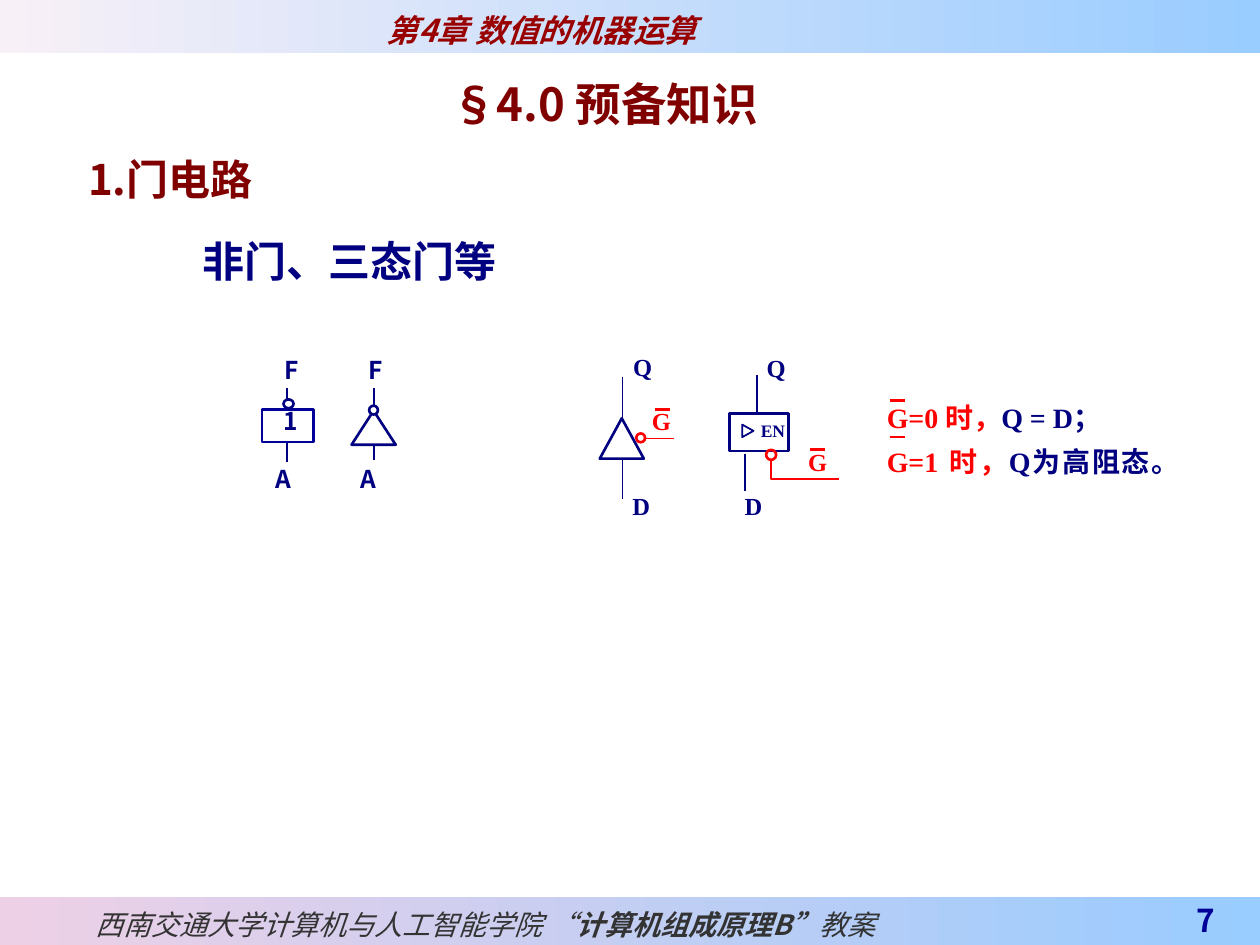
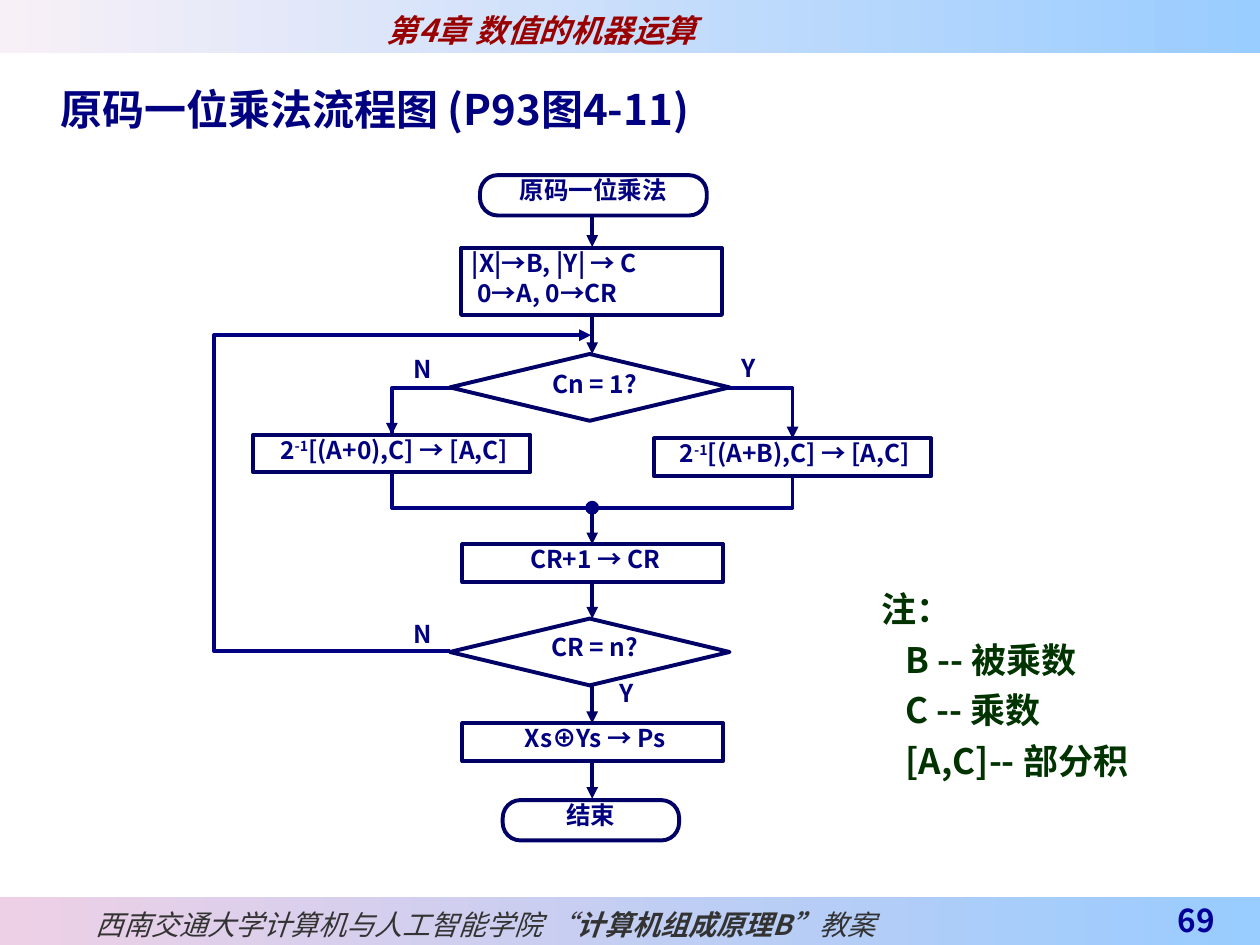
from lxml import etree
from pptx import Presentation
from pptx.dml.color import RGBColor
from pptx.enum.shapes import MSO_CONNECTOR, MSO_SHAPE
from pptx.enum.text import MSO_ANCHOR, PP_ALIGN
from pptx.oxml.ns import qn
from pptx.util import Inches, Pt

NAVY = RGBColor(0x00, 0x00, 0x80)
DARK = RGBColor(0x00, 0x00, 0x66)
BLUE = RGBColor(0x00, 0x00, 0x99)
RED = RGBColor(0xFF, 0x00, 0x00)
WINE = RGBColor(0x80, 0x00, 0x00)
BRICK = RGBColor(0x99, 0x00, 0x00)
GREEN = RGBColor(0x00, 0x33, 0x00)
GRAY = RGBColor(0x33, 0x33, 0x33)
WHITE = RGBColor(0xFF, 0xFF, 0xFF)
SKY = RGBColor(0x99, 0xCC, 0xFF)
PALE = RGBColor(0xF8, 0xF0, 0xF7)
PINK = RGBColor(0xEE, 0xD0, 0xE6)

RECT, ROUND = MSO_SHAPE.RECTANGLE, MSO_SHAPE.ROUNDED_RECTANGLE
OVAL, DELTA = MSO_SHAPE.OVAL, MSO_SHAPE.ISOSCELES_TRIANGLE
TEST = MSO_SHAPE.FLOWCHART_DECISION
LEFT, RIGHT, MID, JUST = (PP_ALIGN.LEFT, PP_ALIGN.RIGHT,
                          PP_ALIGN.CENTER, PP_ALIGN.JUSTIFY)
TOP, CENTER, BOTTOM = MSO_ANCHOR.TOP, MSO_ANCHOR.MIDDLE, MSO_ANCHOR.BOTTOM
STRAIGHT = MSO_CONNECTOR.STRAIGHT

SANS, SERIF, ARIAL = "Noto Sans CJK SC", "Times New Roman", "Arial"
PAD = (1, 0.5, 1, 0.5)
HEAD = (1, 0.5, 1, 0)
NONE = (0, 0, 0, 0)
SLIM = (0.4, 0, 0, 0)

prs = Presentation()
prs.slide_width, prs.slide_height = Inches(10), Inches(7.5)
CELL = prs.slide_width // 100  # the grid has 100 columns and 75 rows


def write(frame, paras, color=NAVY, align=LEFT, pad=PAD, anchor=TOP,
          space=1.0, dents=(), **font):
    """Fill a text frame; a paragraph is a string or a list of (text, format)."""
    frame.word_wrap, frame.vertical_anchor = True, anchor
    for side, gap in zip(("left", "top", "right", "bottom"), pad):
        setattr(frame, "margin_" + side, int(gap * CELL))
    for i, para in enumerate(paras):
        p = frame.add_paragraph() if i else frame.paragraphs[0]
        p.alignment, p.line_spacing = align, space
        if dents:
            p._p.get_or_add_pPr().set("marL", str(int(dents[i] * CELL)))
        for text, own in [(para, {})] if isinstance(para, str) else para:
            look = {"size": 14, "bold": True, "name": SANS, "color": color,
                    "raised": False, **font, **own}
            run = p.add_run()
            run.text = text
            run.font.color.rgb = look.pop("color")
            look["size"] = Pt(look["size"])
            props = run._r.get_or_add_rPr()
            if look.pop("raised"):
                props.set("baseline", "30000")
            for key, value in look.items():
                setattr(run.font, key, value)
            etree.SubElement(props, qn("a:ea"), typeface=SANS)


def paint(item, fill=None, ink=None, width=1, arrow=False):
    """Set fill, line and arrowhead, and drop the shadow."""
    if hasattr(item, "fill"):
        if fill is None:
            item.fill.background()
        elif isinstance(fill, tuple) and not isinstance(fill, RGBColor):
            item.fill.gradient()
            item.fill.gradient_angle = 0
            for stop, tint in zip(item.fill.gradient_stops, fill):
                stop.color.rgb = tint
        else:
            item.fill.solid()
            item.fill.fore_color.rgb = fill
    if ink is None:
        item.line.fill.background()
    else:
        item.line.color.rgb, item.line.width = ink, Pt(width)
    if arrow:
        etree.SubElement(item.line._get_or_add_ln(), qn("a:tailEnd"),
                         type="triangle")
    etree.SubElement(item._element.spPr, qn("a:effectLst"))


# Bands: place, gradient, paragraph, format
plain = {"bold": False}
bands = [
    ((0, 0, 100, 4.2), (PALE, SKY), "第4章 数值的机器运算",
     {"color": BRICK, "size": 18, "pad": (30.7, 0, 0, 0)}),
    ((0, 71.2, 100, 3.8), (PINK, SKY),
     [("西南交通大学计算机与人工智能学院 ", plain),
      ("“", {"name": ARIAL, **plain}), ("计算机组成", {"name": SERIF}),
      ("原理B”", {}), ("教案", plain)],
     {"color": GRAY, "size": 16, "pad": (7.6, 0, 0, 0)}),
]

# Gates: lines as (x1, y1, x2, y2), shapes as (kind, place, fill, ink, width)
gates = {
    "number": "7",
    "lines": [
        ((22.8, 30.8, 22.8, 36.7), NAVY, 1, False),
        ((29.7, 30.8, 29.7, 36.5), NAVY, 1, False),
        ((49.4, 29.9, 49.4, 39.6), NAVY, 1, False),
        ((60.1, 29.8, 60.1, 33.7), NAVY, 1, False),
        ((59.1, 36, 59.1, 39), NAVY, 1, False),
        ((53.5, 34.8, 51.3, 34.8), RED, 1, False),
    ] + [((x, y, x + 1.2, y), RED, 1.5, False) for x, y in
         ((52, 32.5), (64.3, 35.7), (70.6, 31.8), (70.6, 34.7))],
    "shapes": [
        (RECT, (20.8, 32.5, 4.1, 2.6), WHITE, BLUE, 1.5),
        (OVAL, (22.5, 31.7, 0.8, 0.7), WHITE, NAVY, 1.5),
        (DELTA, (27.9, 32.6, 3.5, 2.7), WHITE, NAVY, 1.5),
        (OVAL, (29.3, 32.2, 0.7, 0.7), WHITE, NAVY, 1.5),
        (DELTA, (47.6, 33.2, 3.5, 3.2), WHITE, NAVY, 1.5),
        (OVAL, (50.5, 34.4, 0.7, 0.7), WHITE, RED, 1.5),
        (RECT, (57.9, 32.8, 4.7, 3), WHITE, NAVY, 1.5),
        (OVAL, (60.8, 35.7, 0.8, 0.8), None, RED, 1.5),
    ],
    "paths": [
        ([(58.9, 33.7), (59.8, 34.2), (58.9, 34.7)], True, NAVY, 1, False),
        ([(61.2, 36.6), (61.2, 38), (66.6, 38)], False, RED, 1, False),
    ],
    "texts": [
        ((4.6, 3.4, 86.8, 7), ["§4.0 预备知识"],
         {"color": WINE, "size": 26, "align": MID, "space": 1.5, "pad": HEAD}),
        ((6, 9.7, 83.9, 6.6), ["1.门电路"],
         {"color": WINE, "size": 24, "space": 1.5, "pad": HEAD}),
        ((15.1, 18.2, 55.1, 5), ["非门、三态门等"], {"size": 24}),
        ((69.4, 30.5, 23, 8.1),
         [[("G=0 时，", {"color": RED}), ("Q = D；", {})],
          [("G=1 时，", {"color": RED}), ("Q为高阻态。", {})]],
         {"size": 16, "name": SERIF, "align": JUST, "space": 1.3}),
        ((59, 33.5, 3.3, 1.5), ["EN"],
         {"size": 10, "name": SERIF, "align": RIGHT, "space": 0.9,
          "pad": NONE}),
    ] + [((x, y, 6.7, 3.7), [mark], {"align": MID}) for mark, x, y in
         (("F", 19.8, 27.7), ("A", 19.15, 36.3), ("1", 19.75, 31.7),
          ("F", 26.5, 27.7), ("A", 25.9, 36.3))]
    + [((x, y, 5, 3.7), [mark],
        {"align": MID, "name": SERIF, "pad": NONE, "color": ink})
       for mark, x, y, ink in
       (("Q", 48.5, 27.9, NAVY), ("D", 48.4, 39, NAVY),
        ("G", 50, 32.2, RED), ("Q", 59.1, 28, NAVY),
        ("D", 57.3, 39, NAVY), ("G", 62.4, 35.5, RED))],
}

# Flow chart: all steps hang on one axis
AXIS = 47
steps = [((x, y, w, 3), [text], {"align": MID, "pad": SLIM})
         for x, y, w, text in (
             (36.7, 43.2, 20.7, "CR+1 → CR"),
             (36.7, 57.4, 20.7, "Xs⊕Ys → Ps"),
             (20.1, 34.5, 22, [("2", {}), ("-1", {"raised": True}),
                               ("[(A+0),C] → [A,C]", {})]),
             (51.9, 34.8, 22, [("2", {}), ("-1", {"raised": True}),
                               ("[(A+B),C] → [A,C]", {})]))]
ends = [((38.1, 13.9, 18, 3.2), ["原码一位乘法"], {"align": MID, "pad": NONE}),
        ((39.9, 63.5, 14, 3.2), ["结束"], {"align": MID, "pad": NONE})]
setup = ((36.6, 19.7, 20.7, 5.3), ["|X|→B, |Y| → C", "0→A, 0→CR"],
         {"align": JUST, "pad": SLIM, "dents": (0.45, 0.9)})
flow = {
    "number": "69",
    "lines": [((x, top, x, foot), DARK, 2.25, True) for x, top, foot in (
        (AXIS, 17.1, 19.6), (AXIS, 25, 28.1), (AXIS, 40.3, 43.2),
        (AXIS, 46.2, 49.1), (AXIS, 54.4, 57.4), (AXIS, 60.4, 63.4),
        (31.1, 31, 34.5), (62.9, 31, 34.8))],
    "shapes": [(RECT, (31.1, 30.8, 31.8, 9.5), None, NAVY, 2.25)]
    + [(RECT, at, WHITE, DARK, 2.25) for at, *_ in steps + [setup]]
    + [(ROUND, at, WHITE, DARK, 2.25) for at, *_ in ends]
    + [(TEST, (35.7, y, 22.2, 5.3), WHITE, DARK, 2.25) for y in (28.1, 49.1)]
    + [(OVAL, (AXIS - 0.5, 39.8, 1, 1), NAVY, NAVY, 0.75)],
    "paths": [([(35.7, 51.7), (17, 51.7), (17, 26.6), (46.9, 26.6)],
               False, NAVY, 2.25, True)],
    "texts": [
        ((3.8, 6.1, 90, 4.5), ["原码一位乘法流程图 (P93图4-11)"],
         {"size": 24, "align": JUST, "pad": HEAD}),
        ((69, 45.5, 31, 20.7),
         ["注：", "B -- 被乘数", "C -- 乘数", "[A,C]-- 部分积"],
         {"color": GREEN, "size": 20, "space": 1.2, "pad": HEAD,
          "dents": (0, 1.9, 1.9, 1.9)}),
        setup, *steps, *ends,
    ] + [((35.7, y, 22.6, 3), [text], {"align": MID, "pad": SLIM})
         for y, text in ((29.3, "Cn = 1?"), (50.2, "CR = n?"))]
    + [((x, y, 5.5, 3.5), [mark], {"align": MID, "pad": NONE})
       for mark, x, y in (("Y", 56.7, 28), ("Y", AXIS, 53.8),
                          ("N", 30.8, 28.1), ("N", 30.8, 49.1))],
}

for page in (gates, flow):
    shapes = prs.slides.add_slide(prs.slide_layouts[6]).shapes
    for at, tints, para, look in bands:
        band = shapes.add_shape(RECT, *(int(v * CELL) for v in at))
        paint(band, tints)
        write(band.text_frame, [para], italic=True, anchor=CENTER, space=1.2,
              **look)
    for ends_at, ink, width, arrow in page["lines"]:
        line = shapes.add_connector(STRAIGHT, *(int(v * CELL) for v in ends_at))
        paint(line, None, ink, width, arrow)
    for kind, at, fill, ink, width in page["shapes"]:
        part = shapes.add_shape(kind, *(int(v * CELL) for v in at))
        if kind == ROUND:
            part.adjustments[0] = 0.44
        paint(part, fill, ink, width)
    for spots, closed, ink, width, arrow in page["paths"]:
        spots = [(int(x * CELL), int(y * CELL)) for x, y in spots]
        pen = shapes.build_freeform(*spots[0], scale=1.0)
        pen.add_line_segments(spots[1:], close=closed)
        paint(pen.convert_to_shape(), None, ink, width, arrow)
    folio = ((86.6, 71.2, 10.8, 3.8), [page["number"]],
             {"color": BLUE, "size": 18, "align": RIGHT, "anchor": BOTTOM,
              "space": 1.2, "pad": (1, 0, 1, 0.5)})
    for at, paras, look in page["texts"] + [folio]:
        box = shapes.add_textbox(*(int(v * CELL) for v in at))
        write(box.text_frame, paras, **look)

prs.save("out.pptx")
